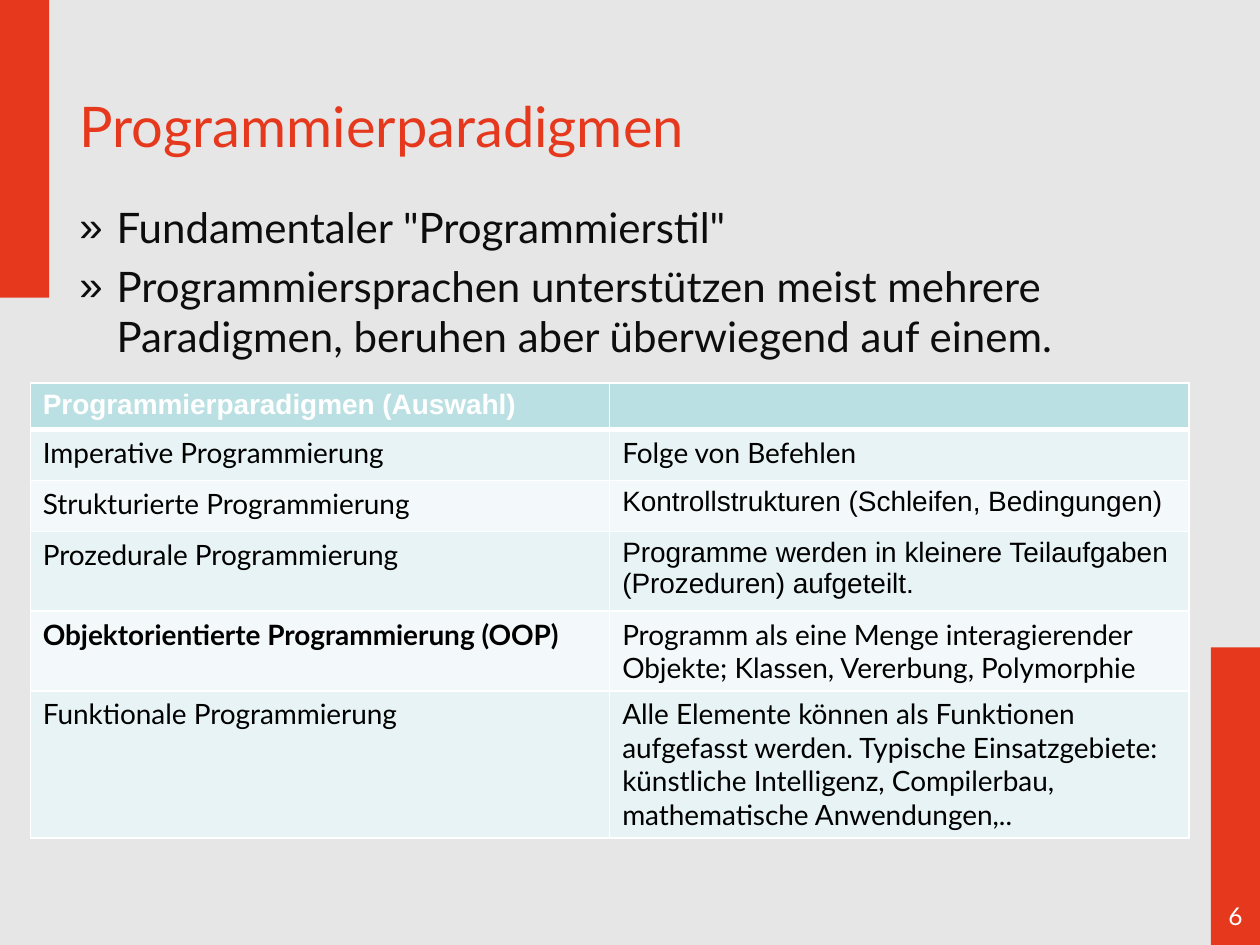
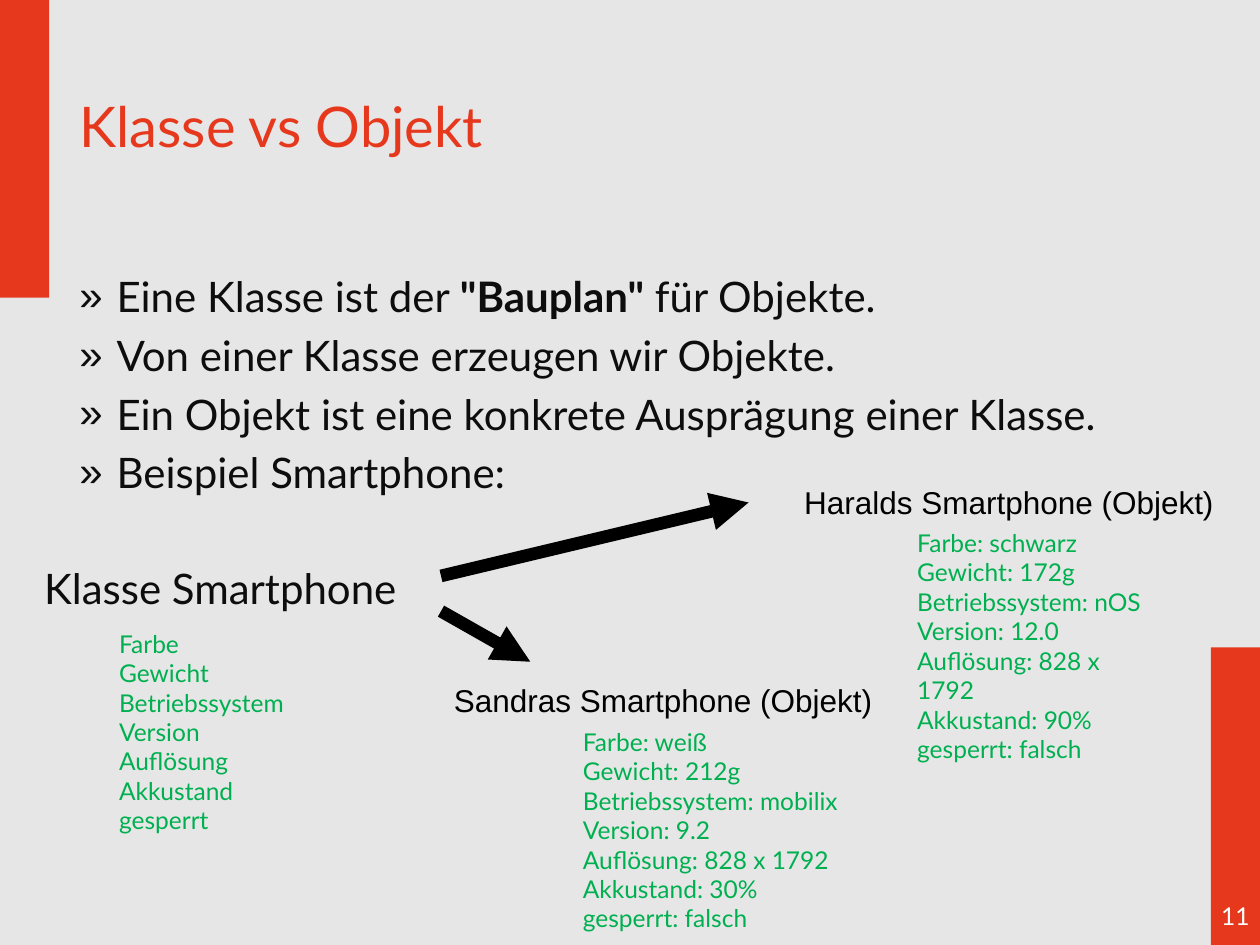
from lxml.etree import SubElement
from pptx import Presentation
from pptx.dml.color import RGBColor
from pptx.enum.shapes import MSO_CONNECTOR, MSO_SHAPE
from pptx.enum.text import MSO_ANCHOR, MSO_AUTO_SIZE, PP_ALIGN
from pptx.oxml.ns import qn
from pptx.util import Cm, Pt

RED, GREY, INK, GREEN = "E6381D", "E6E6E6", "0D0D0D", "00B050"
WHITE, BLACK = "FFFFFF", "000000"
HEAD_FILL, ROW_FILLS = "BBE0E3", ("E7F3F4", "F3F9FA")
BANDS = [(0, 0), (24.41, 13.05)]
BAND_W, BAND_H = 0.99, 6
LEFT = 1.35

PARADIGM_POINTS = [
    'Fundamentaler "Programmierstil"',
    "Programmiersprachen unterstützen meist mehrere Paradigmen, beruhen aber überwiegend auf einem.",
]
PARADIGMS = [
    ("Programmierparadigmen (Auswahl)", ""),
    ("Imperative Programmierung", "Folge von Befehlen"),
    ("Strukturierte Programmierung", "Kontrollstrukturen (Schleifen, Bedingungen)"),
    ("Prozedurale Programmierung",
     "Programme werden in kleinere Teilaufgaben (Prozeduren) aufgeteilt."),
    ("Objektorientierte Programmierung (OOP)",
     "Programm als eine Menge interagierender Objekte; Klassen, Vererbung, Polymorphie"),
    ("Funktionale Programmierung",
     "Alle Elemente können als Funktionen aufgefasst werden. Typische Einsatzgebiete: "
     "künstliche Intelligenz, Compilerbau, mathematische Anwendungen,.."),
]
ARIAL_CELLS = {(0, 0), (0, 1), (2, 1), (3, 1)}
BOLD_CELLS = {(0, 0), (4, 0)}
HEAD_H, ROW_H = 0.93, 1.03
COL_W = 11.68

CLASS_POINTS = [
    [("Eine Klasse ist der ", False), ('"Bauplan"', True), (" für Objekte.", False)],
    "Von einer Klasse erzeugen wir Objekte.",
    "Ein Objekt ist eine konkrete Ausprägung einer Klasse.",
    "Beispiel Smartphone:",
]
ATTRIBUTES = ["Farbe", "Gewicht", "Betriebssystem", "Version", "Auflösung", "Akkustand", "gesperrt"]
HARALD = ["schwarz", "172g", "nOS", "12.0", "828 x 1792", "90%", "falsch"]
SANDRA = ["weiß", "212g", "mobilix", "9.2", "828 x 1792", "30%", "falsch"]
LABELS = [
    ("Klasse Smartphone", (0.64, 11.21, 7.7, 1.27), dict(size=24, color=INK)),
    ("Haralds Smartphone (Objekt)", (15.96, 9.62, 9, 1.02), dict(size=18, font="Arial")),
    ("Sandras Smartphone (Objekt)", (8.9, 13.6, 9.2, 1.02), dict(size=18, font="Arial")),
]
ATTRIBUTE_LISTS = [
    (None, (2.15, 12.55, 3.89, 4.5)),
    (HARALD, (18.24, 10.52, 5.38, 5.1)),
    (SANDRA, (11.5, 14.53, 5.89, 4.45)),
]
ARROWS = [((8.89, 11.61), (15.09, 10.13)), ((8.89, 12.32), (10.69, 13.34))]


def rgb(color):
    return RGBColor.from_string(color)


def write(p, text, size=16, font="Lato", color=BLACK, bold=False):
    parts = [(text, bold)] if isinstance(text, str) else text
    for part, strong in parts:
        r = p.add_run()
        r.text = part
        r.font.size, r.font.name, r.font.bold = Pt(size), font, strong
        r.font.color.rgb = rgb(color)


def add_text(s, lines, box, bullet=False, align=PP_ALIGN.LEFT, **fmt):
    tf = s.shapes.add_textbox(*map(Cm, box)).text_frame
    tf.word_wrap = True
    for i, line in enumerate(lines):
        p = tf.paragraphs[0] if i == 0 else tf.add_paragraph()
        p.alignment = align
        if bullet:
            pPr = p._p.get_or_add_pPr()
            pPr.set("marL", str(Cm(0.75)))
            pPr.set("indent", str(-Cm(0.75)))
            SubElement(pPr, qn("a:buFont"), typeface="Arial")
            SubElement(pPr, qn("a:buChar"), char="»")
            if i:
                p.space_before = Pt(4.8)
        write(p, line, **fmt)
    return tf


def add_slide(prs, title, number):
    s = prs.slides.add_slide(prs.slide_layouts[5])
    for left, top in BANDS:
        band = s.shapes.add_shape(MSO_SHAPE.RECTANGLE, Cm(left), Cm(top), Cm(BAND_W), Cm(BAND_H))
        band.shadow.inherit = False
        band.fill.solid()
        band.fill.fore_color.rgb = rgb(RED)
        band.line.fill.background()
    tf = add_text(s, [number], (BANDS[1][0], 18.03, BAND_W, 0.85),
                  align=PP_ALIGN.CENTER, size=14, color=WHITE)
    tf.margin_left = tf.margin_right = 0
    sp = s.shapes.title
    sp.left, sp.top, sp.width, sp.height = map(Cm, (LEFT, 1.73, 20.37, 1.6))
    tf = sp.text_frame
    tf.auto_size = MSO_AUTO_SIZE.NONE
    tf.vertical_anchor = MSO_ANCHOR.MIDDLE
    tf.paragraphs[0].alignment = PP_ALIGN.LEFT
    write(tf.paragraphs[0], title, size=32, color=RED)
    return s


def add_points(s, points, top, height):
    add_text(s, points, (LEFT, top, 23.37, height), bullet=True, size=24, color=INK)


def set_borders(cell, bottom):
    tcPr = cell._tc.get_or_add_tcPr()
    for side, width in (("L", 1), ("R", 1), ("T", 1), ("B", bottom)):
        ln = SubElement(tcPr, qn("a:ln" + side), w=str(Pt(width)))
        SubElement(SubElement(ln, qn("a:solidFill")), qn("a:srgbClr"), val=WHITE)


def add_paradigm_table(s):
    height = HEAD_H + ROW_H * (len(PARADIGMS) - 1)
    table = s.shapes.add_table(len(PARADIGMS), 2, Cm(0.61), Cm(7.72),
                               Cm(2 * COL_W), Cm(height)).table
    for col in table.columns:
        col.width = Cm(COL_W)
    for i, texts in enumerate(PARADIGMS):
        table.rows[i].height = Cm(ROW_H if i else HEAD_H)
        for j, text in enumerate(texts):
            cell = table.cell(i, j)
            set_borders(cell, 1 if i else 3)
            cell.fill.solid()
            cell.fill.fore_color.rgb = rgb(ROW_FILLS[(i - 1) % 2] if i else HEAD_FILL)
            p = cell.text_frame.paragraphs[0]
            if text:
                write(p, text, font="Arial" if (i, j) in ARIAL_CELLS else "Lato",
                      color=BLACK if i else WHITE, bold=(i, j) in BOLD_CELLS)
            else:
                SubElement(p._p, qn("a:endParaRPr"), sz="1600")


def add_arrow(s, start, end):
    c = s.shapes.add_connector(MSO_CONNECTOR.STRAIGHT, *map(Cm, start + end))
    c.line.color.rgb = rgb(BLACK)
    c.line.width = Pt(7.25)
    SubElement(c.line._get_or_add_ln(), qn("a:tailEnd"), type="triangle")
    SubElement(c._element.spPr, qn("a:effectLst"))


def main():
    prs = Presentation()
    prs.slide_width, prs.slide_height = Cm(25.4), Cm(19.05)
    background = prs.slide_master.background.fill
    background.solid()
    background.fore_color.rgb = rgb(GREY)

    s = add_slide(prs, "Programmierparadigmen", "6")
    add_points(s, PARADIGM_POINTS, 3.94, 3.6)
    add_paradigm_table(s)

    s = add_slide(prs, "Klasse vs Objekt", "11")
    add_points(s, CLASS_POINTS, 5.33, 5)
    for text, box, fmt in LABELS:
        add_text(s, [text], box, **fmt)
    for values, box in ATTRIBUTE_LISTS:
        lines = [f"{a}: {v}" for a, v in zip(ATTRIBUTES, values)] if values else ATTRIBUTES
        add_text(s, lines, box, size=14, color=GREEN)
    for start, end in ARROWS:
        add_arrow(s, start, end)

    prs.save("out.pptx")


if __name__ == "__main__":
    main()
